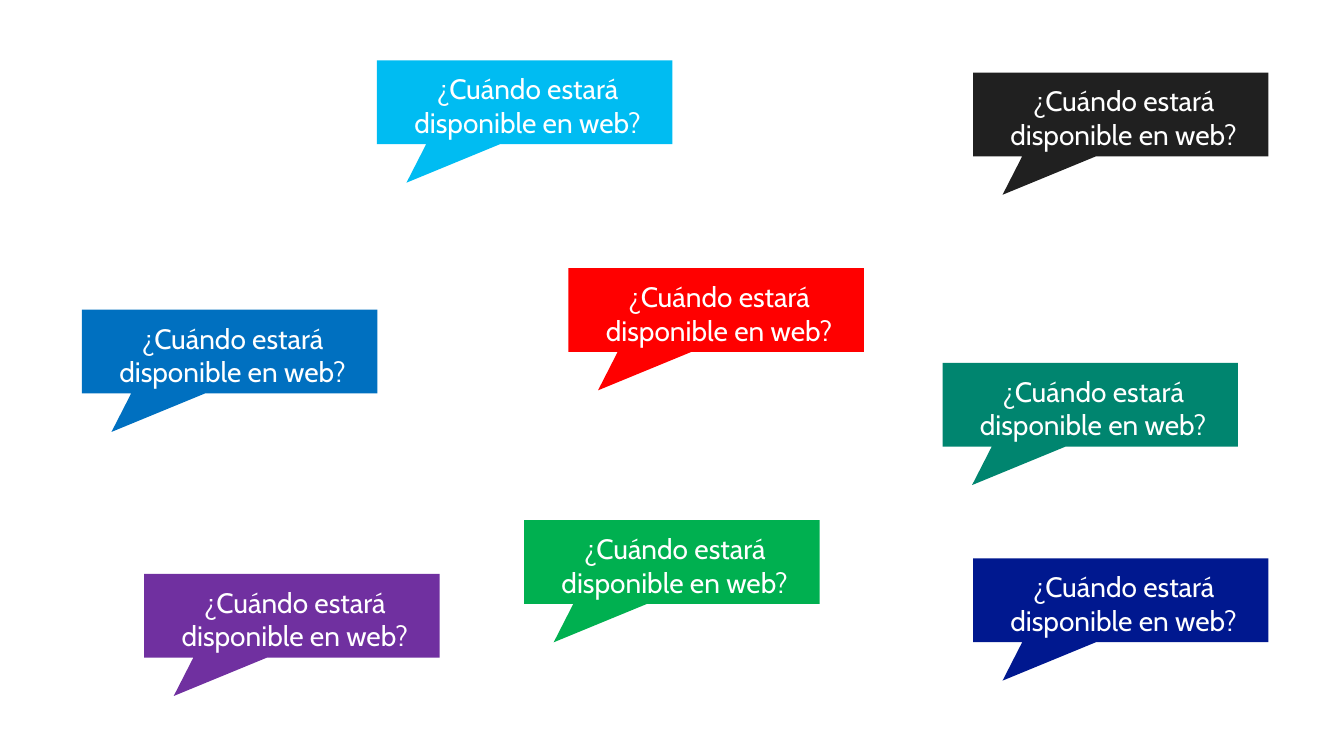
from pptx import Presentation
from pptx.dml.color import RGBColor
from pptx.enum.shapes import MSO_SHAPE as Shape
from pptx.enum.text import MSO_ANCHOR as Anchor, PP_ALIGN as Align
from pptx.util import Inches, Pt


def paint(color_format, hex_color):
    color_format.rgb = RGBColor.from_string(hex_color)


# Slide
deck = Presentation()
deck.slide_width, deck.slide_height = Inches(13.33), Inches(7.5)
slide = deck.slides.add_slide(deck.slide_layouts[6])
percent_x = deck.slide_width / 100
percent_y = deck.slide_height / 100

# Speech bubbles: left and top in percent of the slide, fill
QUESTION = "¿Cuándo estará disponible en web?"
BUBBLE_WIDTH, BUBBLE_HEIGHT = 21.98, 11.07
bubbles = [
    (42.3, 35.47, "FF0000"),
    (72.4, 73.87, "00188F"),
    (72.4, 9.6, "202020"),
    (70.13, 48, "00856F"),
    (28.05, 8, "00BCF2"),
    (6.1, 40.97, "0070C0"),
    (39, 68.8, "00B050"),
    (10.73, 75.9, "7030A0"),
]

for left, top, color in bubbles:
    bubble = slide.shapes.add_shape(
        Shape.RECTANGULAR_CALLOUT,
        round(left * percent_x), round(top * percent_y),
        round(BUBBLE_WIDTH * percent_x), round(BUBBLE_HEIGHT * percent_y))
    bubble.adjustments[0], bubble.adjustments[1] = -0.4, 0.96
    bubble.shadow.inherit = False
    bubble.fill.solid()
    paint(bubble.fill.fore_color, color)
    bubble.line.fill.background()

    # Question inside the bubble
    frame = bubble.text_frame
    frame.word_wrap = True
    frame.vertical_anchor = Anchor.MIDDLE
    frame.margin_left = frame.margin_top = Inches(0.1)
    frame.margin_right = frame.margin_bottom = Inches(0.04)
    frame.text = QUESTION
    question = frame.paragraphs[0]
    question.alignment = Align.CENTER
    font = question.runs[0].font
    font.name, font.size = "Cabin", Pt(20)
    paint(font.color, "FFFFFF")

deck.save("out.pptx")
